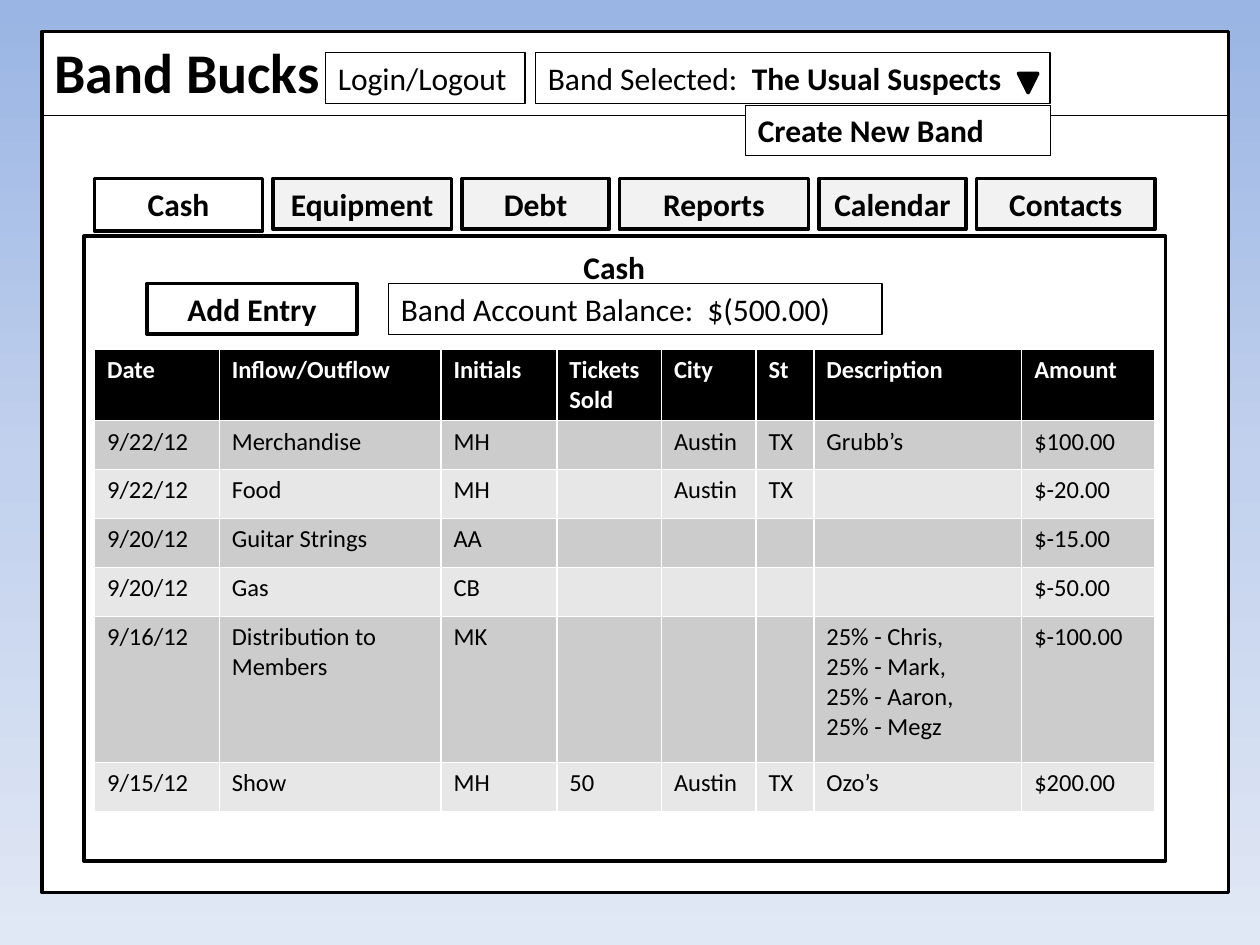
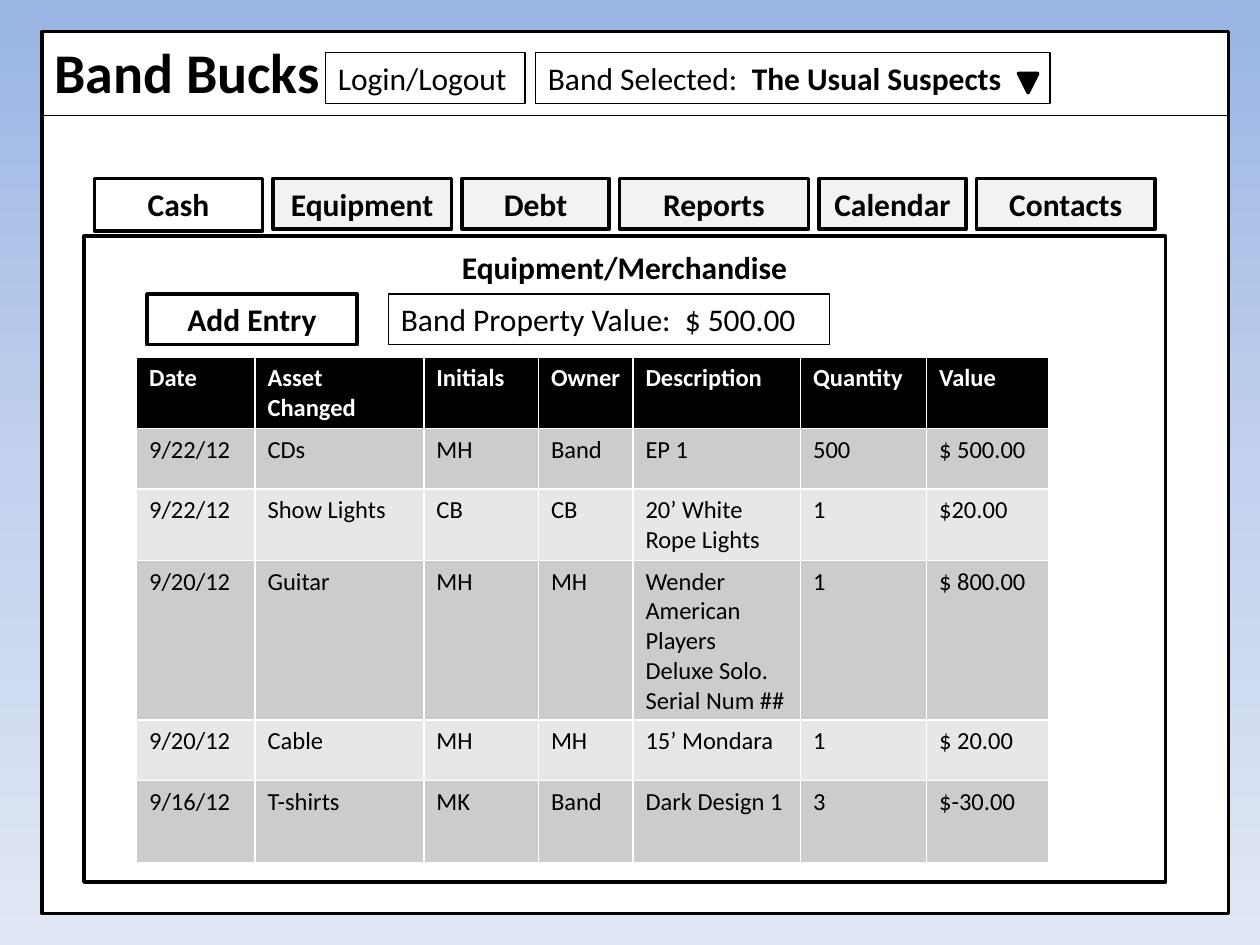
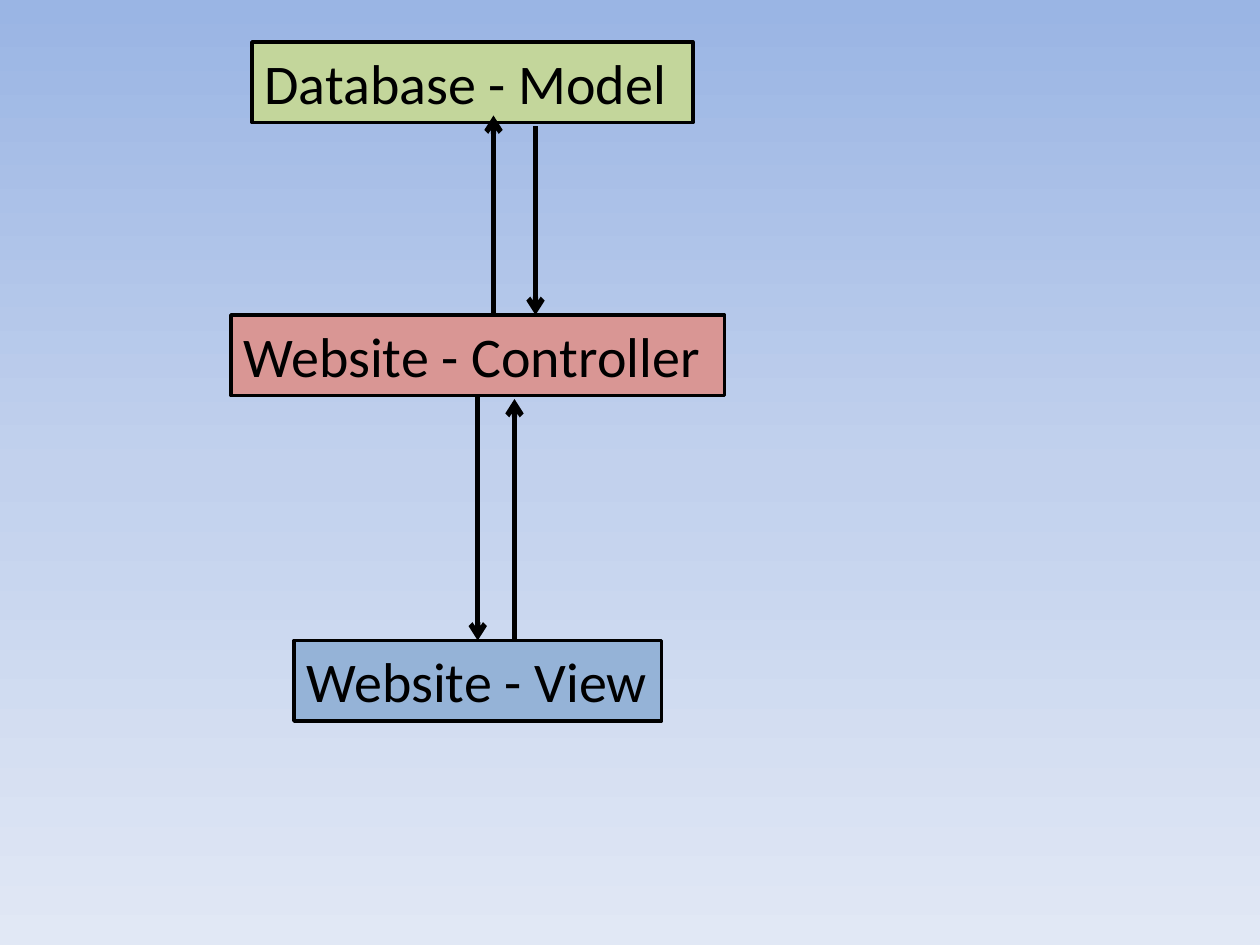
"""Builds two band bookkeeping screens and a model, view and controller diagram."""
from copy import deepcopy

from lxml import etree
from pptx import Presentation
from pptx import util as u
from pptx.dml import color
from pptx.enum import shapes, text
from pptx.oxml import ns

Pt = u.Pt
FONT = "Calibri"
BLACK, WHITE, GREY = "000000", "FFFFFF", "F2F2F2"
BANDS = ("CCCCCC", "E7E7E7")
GRADIENT = ((0, "9AB5E4"), (0.5, "C2D1ED"), (1, "E1E8F5"))
THIN, BOLD_LINE, ARROW_LINE = 0.75, 2, 3
ROW_HEIGHT = 29
TABS = (("Cash", 96), ("Equipment", 102), ("Debt", 84),
        ("Reports", 108), ("Calendar", 84), ("Contacts", 102))
TAB_LEFT, TAB_TOP, TAB_GAP = 54, 102, 6

SCREENS = [
    {
        "heading": ("Cash", 198),
        "frame_height": 492,
        "panel_height": 357,
        "entry_top": 162,
        "balance": ("Band Account Balance:  $(500.00)", 282),
        "menu": "Create New Band",
        "table_at": (54, 199.4),
        "columns": (71.3, 126.7, 66.2, 59.8, 54, 33.1, 118.8, 76.3),
        "rows": (34, 28, 28, 28, 28, 83.5, 28),
        "cells": [
            ("Date", "Inflow/Outflow", "Initials", "Tickets Sold", "City", "St",
             "Description", "Amount"),
            ("9/22/12", "Merchandise", "MH", "", "Austin", "TX", "Grubb’s", "$100.00"),
            ("9/22/12", "Food", "MH", "", "Austin", "TX", "", "$-20.00"),
            ("9/20/12", "Guitar Strings", "AA", "", "", "", "", "$-15.00"),
            ("9/20/12", "Gas", "CB", "", "", "", "", "$-50.00"),
            ("9/16/12", "Distribution to Members", "MK", "", "", "",
             "25% - Chris,\n25% - Mark,\n25% - Aaron,\n25% - Megz", "$-100.00"),
            ("9/15/12", "Show", "MH", "50", "Austin", "TX", "Ozo’s", "$200.00"),
        ],
    },
    {
        "heading": ("Equipment/Merchandise", 210),
        "frame_height": 504,
        "panel_height": 369,
        "entry_top": 168,
        "balance": ("Band Property Value:  $ 500.00", 252),
        "menu": None,
        "table_at": (78, 204),
        "columns": (67.7, 96.5, 65.5, 54, 95.8, 72, 69.8),
        "rows": (38.9, 34.6, 38.9, 87.8, 34.6, 46.8),
        "cells": [
            ("Date", "Asset Changed", "Initials", "Owner", "Description",
             "Quantity", "Value"),
            ("9/22/12", "CDs", "MH", "Band", "EP 1", "500", "$ 500.00"),
            ("9/22/12", "Show Lights", "CB", "CB", "20’ White Rope Lights", "1", "$20.00"),
            ("9/20/12", "Guitar", "MH", "MH",
             "Wender American Players Deluxe Solo.\nSerial Num ##", "1", "$ 800.00"),
            ("9/20/12", "Cable", "MH", "MH", "15’ Mondara", "1", "$ 20.00"),
            ("9/16/12", "T-shirts", "MK", "Band", "Dark Design 1", "3", "$-30.00"),
        ],
    },
]

LAYERS = (("Database - Model", (144, 24, 252, 46), "C3D69B"),
          ("Website - View", (168, 366, 210, 46), "95B3D7"),
          ("Website - Controller", (132, 180, 282, 46), "D99694"))
ARROWS = ((294, 366, 294, 228), (273, 226, 273, 366),
          (306, 72, 306, 180), (282, 180, 282, 66))


def rgb(value):
    return color.RGBColor.from_string(value)


def style(span, size, bold=False, ink=BLACK):
    span.font.name = FONT
    span.font.size = Pt(size)
    span.font.bold = bold
    span.font.color.rgb = rgb(ink)


def write(box, spans, size, centred=False):
    frame = box.text_frame
    frame.word_wrap = True
    frame.vertical_anchor = text.MSO_ANCHOR.TOP
    para = frame.paragraphs[0]
    para.alignment = text.PP_ALIGN.CENTER if centred else text.PP_ALIGN.LEFT
    for words, bold in spans:
        span = para.add_run()
        span.text = words
        style(span, size, bold)


def add_box(page, at, fill=WHITE, line=BOLD_LINE, kind=shapes.MSO_SHAPE.RECTANGLE):
    box = page.shapes.add_shape(kind, *map(Pt, at))
    box.shadow.inherit = False
    if fill:
        box.fill.solid()
        box.fill.fore_color.rgb = rgb(fill)
    else:
        box.fill.background()
    box.line.color.rgb = rgb(BLACK)
    box.line.width = Pt(line)
    return box


def add_label(page, at, words, bold=True, centred=False, size=18, **look):
    box = add_box(page, at, **look)
    spans = [(words, bold)] if isinstance(words, str) else words
    write(box, spans, size, centred)
    box.text_frame.auto_size = text.MSO_AUTO_SIZE.SHAPE_TO_FIT_TEXT


def add_caption(page, at, words, size, centred=False):
    write(page.shapes.add_textbox(*map(Pt, at)), [(words, True)], size, centred)


def add_line(page, ends, width, arrow=False):
    line = page.shapes.add_connector(shapes.MSO_CONNECTOR.STRAIGHT, *map(Pt, ends))
    line.line.color.rgb = rgb(BLACK)
    line.line.width = Pt(width)
    properties = line.element.spPr
    if arrow:
        etree.SubElement(properties.find(ns.qn("a:ln")), ns.qn("a:tailEnd"), type="arrow")
    etree.SubElement(properties, ns.qn("a:effectLst"))


def add_page(deck):
    page = deck.slides.add_slide(deck.slide_layouts[6])
    fill = page.background.fill
    fill.gradient()
    fill.gradient_angle = 270
    stops = page.element.xpath(".//p:bg//a:gsLst")[0]
    stops.insert(1, deepcopy(stops[0]))
    for stop, (position, value) in zip(fill.gradient_stops, GRADIENT):
        stop.position = position
        stop.color.rgb = rgb(value)
    return page


def add_tabs(page):
    left = TAB_LEFT
    for index, (name, width) in enumerate(TABS):
        height = ROW_HEIGHT if index else ROW_HEIGHT + 1
        add_label(page, (left, TAB_TOP, width, height), name, centred=True,
                  fill=GREY if index else WHITE)
        left += width + TAB_GAP


def add_header(page):
    add_label(page, (186, 30, 114, ROW_HEIGHT), "Login/Logout", bold=False,
              fill=None, line=THIN)
    add_label(page, (306, 30, 294, ROW_HEIGHT),
              [("Band Selected:  ", False), ("The Usual Suspects", True)],
              fill=None, line=THIN)
    add_caption(page, (24, 18, 168, 46), "Band Bucks", 32)
    add_line(page, (24, 66, 702, 66), THIN)
    pointer = add_box(page, (582, 42, 11, 11), fill=BLACK,
                      kind=shapes.MSO_SHAPE.ISOSCELES_TRIANGLE)
    pointer.element.spPr.xfrm.set("flipV", "1")


def add_ledger(page, screen):
    columns, rows, cells = screen["columns"], screen["rows"], screen["cells"]
    size = (sum(columns), sum(rows))
    table = page.shapes.add_table(len(rows), len(columns),
                                  *map(Pt, screen["table_at"] + size)).table
    for column, width in zip(table.columns, columns):
        column.width = Pt(width)
    for index, (row, height) in enumerate(zip(table.rows, rows)):
        row.height = Pt(height)
        header = index == 0
        for cell, words in zip(row.cells, cells[index]):
            cell.fill.solid()
            cell.fill.fore_color.rgb = rgb(BLACK if header else BANDS[(index - 1) % 2])
            cell.text_frame.text = words
            for para in cell.text_frame.paragraphs:
                for span in para.runs:
                    style(span, 14, header, WHITE if header else BLACK)
                if not words:
                    etree.SubElement(para._p, ns.qn("a:endParaRPr"), sz="1400")


def add_screen(deck, screen):
    page = add_page(deck)
    add_box(page, (24, 18, 678, screen["frame_height"]))
    add_box(page, (48, 135, 618, screen["panel_height"]))
    add_tabs(page)
    heading, width = screen["heading"]
    add_caption(page, (252, 138, width, 51), heading, 18, centred=True)
    add_ledger(page, screen)
    top = screen["entry_top"]
    balance, width = screen["balance"]
    add_label(page, (222, top, width, ROW_HEIGHT), balance, bold=False, line=THIN)
    add_header(page)
    if screen["menu"]:
        add_label(page, (426, 60, 174, ROW_HEIGHT), screen["menu"], line=0.25)
    add_label(page, (84, top, 120, ROW_HEIGHT), "Add Entry", centred=True)


def add_diagram(deck):
    page = add_page(deck)
    for name, at, fill in LAYERS:
        add_label(page, at, name, bold=False, size=32, fill=fill)
    for ends in ARROWS:
        add_line(page, ends, ARROW_LINE, arrow=True)


deck = Presentation()
deck.slide_width, deck.slide_height = Pt(720), Pt(540)
for screen in SCREENS:
    add_screen(deck, screen)
add_diagram(deck)
deck.save("out.pptx")
